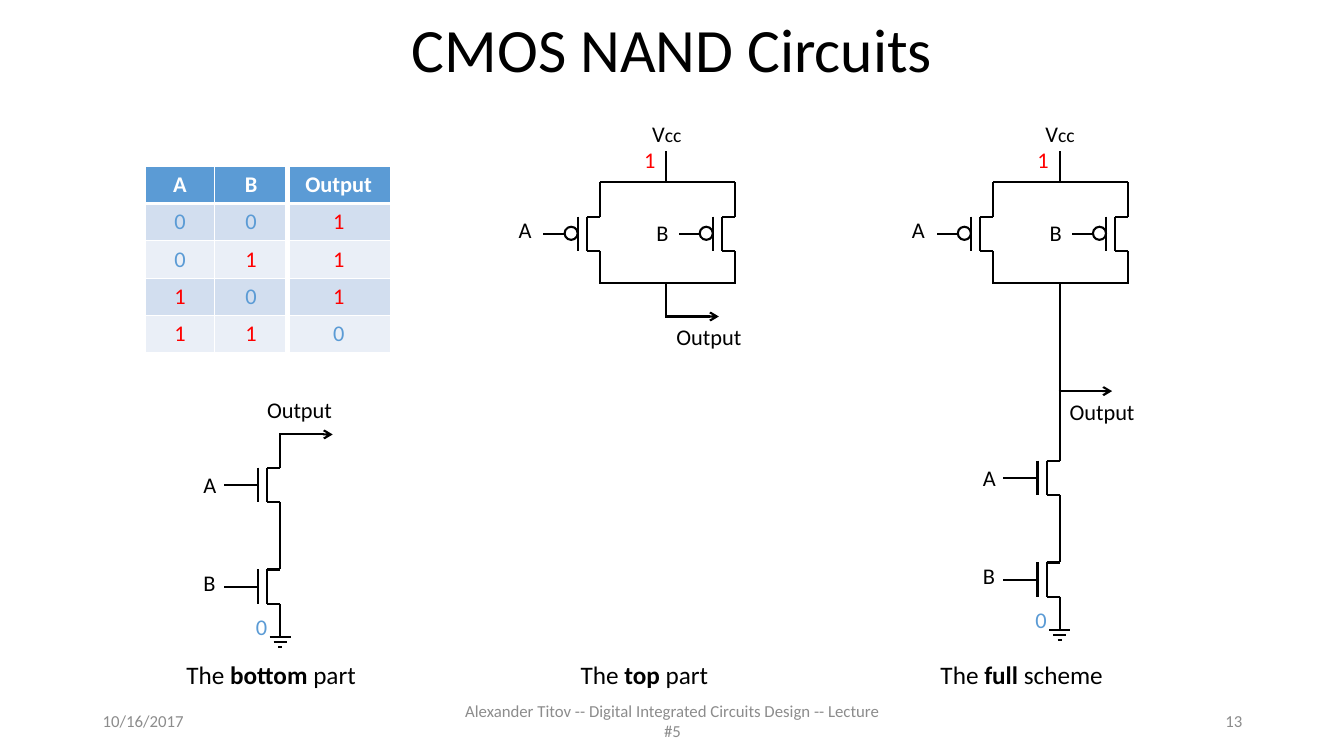
import dataclasses

import lxml.etree
import pptx
import pptx.dml.color
import pptx.enum.shapes
import pptx.enum.text
import pptx.oxml.ns
import pptx.util

Inches = pptx.util.Inches
Pt = pptx.util.Pt
Align = pptx.enum.text.PP_ALIGN
Anchor = pptx.enum.text.MSO_ANCHOR
AutoSize = pptx.enum.text.MSO_AUTO_SIZE
qn = pptx.oxml.ns.qn


@dataclasses.dataclass(frozen=True)
class Theme:
    """Colours, font and sizes of the slide."""
    font: str = "Calibri"
    ink: str = "000000"
    paper: str = "FFFFFF"
    muted: str = "8C8C8C"
    low: str = "5B9BD5"
    high: str = "FF0000"
    header: str = "5B9BD5"
    bands: tuple = ("D2DEEF", "EAEFF7")
    title: int = 44
    caption: int = 18
    label: int = 16
    subscript: int = 14
    footer: int = 12
    wire: float = 1.5


def rgb(value):
    """Return the colour for a hex value."""
    return pptx.dml.color.RGBColor.from_string(value)


def assign(target, values):
    """Set each named attribute on the target."""
    for name, value in values.items():
        setattr(target, name, value)


class CircuitPage:
    """Draws text, tables and circuit parts on one slide."""

    def __init__(self, deck, theme):
        self.theme = theme
        self.page = deck.slides.add_slide(deck.slide_layouts[6])
        self.shapes = self.page.shapes

    def start_group(self):
        """Put the following elements in a new group."""
        self.shapes = self.page.shapes.add_group_shape().shapes

    def end_group(self):
        """Put the following elements directly on the slide."""
        self.shapes = self.page.shapes

    def fill_para(self, para, spans, size, color, align=Align.LEFT):
        """Fill a paragraph with (text, format) spans."""
        para.alignment = align
        for text, changes in spans:
            span = para.add_run()
            span.text = text
            assign(span.font, {"name": self.theme.font, "size": Pt(size), "bold": False, **changes})
            span.font.color.rgb = rgb(color)

    def text(self, left, top, width, height, spans, size, color=None, align=Align.LEFT, **frame):
        """Add a text box and return its paragraph."""
        box = self.shapes.add_textbox(Inches(left), Inches(top), Inches(width), Inches(height))
        assign(box.text_frame, {"word_wrap": True, "vertical_anchor": Anchor.MIDDLE, **frame})
        para = box.text_frame.paragraphs[0]
        self.fill_para(para, spans, size, color or self.theme.ink, align)
        return para

    def label(self, left, top, width, *spans, size=None, color=None, align=Align.LEFT):
        """Add a one-line label that fits its text."""
        size = size or self.theme.label
        height = 0.4 if size == self.theme.caption else 0.37
        self.text(left, top, width, height, spans, size, color, align, word_wrap=False,
                  vertical_anchor=Anchor.TOP, auto_size=AutoSize.SHAPE_TO_FIT_TEXT)

    def wire(self, x1, y1, x2, y2, arrow=False):
        """Add a straight wire."""
        line = self.shapes.add_connector(pptx.enum.shapes.MSO_CONNECTOR.STRAIGHT,
                                         Inches(x1), Inches(y1), Inches(x2), Inches(y2))
        line.line.width = Pt(self.theme.wire)
        line.line.color.rgb = rgb(self.theme.ink)
        properties = line._element.spPr
        if arrow:
            lxml.etree.SubElement(properties.find(qn("a:ln")), qn("a:tailEnd"), type="arrow")
        lxml.etree.SubElement(properties, qn("a:effectLst"))

    def bubble(self, left, top):
        """Add the inverting circle of a gate."""
        circle = self.shapes.add_shape(pptx.enum.shapes.MSO_SHAPE.OVAL, Inches(left), Inches(top),
                                       Inches(0.13), Inches(0.13))
        circle.shadow.inherit = False
        circle.fill.solid()
        circle.fill.fore_color.rgb = rgb(self.theme.paper)
        circle.line.color.rgb = rgb(self.theme.ink)
        circle.line.width = Pt(self.theme.wire)

    def transistor(self, x, top, rise=0.34, inverted=False):
        """Add a transistor whose channel starts at top and whose terminals lie on x."""
        bottom, middle = top + 0.34, top + 0.17
        channel, gate = x - 0.13, x - 0.22
        self.wire(channel, top, channel, bottom)
        for y in (top, bottom):
            self.wire(channel, y, x, y)
        self.wire(x, top - rise, x, top)
        self.wire(x, bottom, x, bottom + 0.33)
        self.wire(gate, top, gate, bottom)
        self.wire(gate, middle, x - 0.56, middle)
        if inverted:
            self.bubble(x - 0.35, top + 0.1)

    def output(self, x, y, label_left, label_top):
        """Add the output arrow and its label."""
        self.wire(x - 0.01, y, x + 0.52, y, arrow=True)
        self.label(label_left, label_top, 0.85, ("Output", {}))

    def pull_up(self, x, output_y):
        """Add the parallel pair between Vcc and the output."""
        left, right = x - 0.66, x + 0.68
        for branch in (left, right):
            self.transistor(branch, 2.15, inverted=True)
        for y in (1.81, 2.81):
            self.wire(left, y, right, y)
        self.wire(x, 1.5, x, 1.81)
        self.wire(x, 2.81, x, output_y)
        self.label(x - 0.24, 1.14, 0.49, ("V", {}), ("cc", {"size": Pt(self.theme.subscript)}))
        self.label(x - 0.32, 1.4, 0.32, ("1", {}), color=self.theme.high)
        self.label(x - 1.57, 2.1, 0.33, ("A", {}), align=Align.RIGHT)
        self.label(x - 0.22, 2.12, 0.34, ("B", {}), align=Align.RIGHT)
        self.output(x, output_y, x, output_y + 0.02)

    def pull_down(self, x, top, rise):
        """Add the series pair between the output and ground."""
        self.transistor(x, top, rise)
        self.transistor(x, top + 1.01)
        for step, half in enumerate((0.105, 0.065, 0.02)):
            y = top + 1.68 + 0.05 * step
            self.wire(x - half, y, x + half, y)
        self.label(x - 0.34, top + 1.39, 0.32, ("0", {}), color=self.theme.low)
        self.label(x - 0.86, top - 0.01, 0.33, ("A", {}))
        self.label(x - 0.86, top + 0.96, 0.34, ("B", {}))

    def truth_table(self, left, top, widths, rows):
        """Add the truth table with the output column set apart."""
        table = self.shapes.add_table(len(rows), len(widths), Inches(left), Inches(top),
                                      Inches(sum(widths)), Inches(0.37 * len(rows))).table
        for column, width in zip(table.columns, widths):
            column.width = Inches(width)
        last = len(widths) - 1
        for r, row in enumerate(rows):
            table.rows[r].height = Inches(0.37)
            for c, value in enumerate(row):
                cell = table.cell(r, c)
                cell.vertical_anchor = Anchor.MIDDLE
                color = {"0": self.theme.low, "1": self.theme.high}.get(value, self.theme.paper)
                self.fill_para(cell.text_frame.paragraphs[0], [(value, {"bold": r == 0})],
                               self.theme.label, color, Align.CENTER)
                self.borders(cell, {"lnL": 4.5 if c == last else 1,
                                    "lnR": 4.5 if c == last - 1 else 1,
                                    "lnT": 3 if r == 1 else 1, "lnB": 3 if r == 0 else 1})
                cell.fill.solid()
                cell.fill.fore_color.rgb = rgb(self.theme.bands[(r - 1) % 2] if r else self.theme.header)

    def borders(self, cell, widths):
        """Give a cell its border lines."""
        properties = cell._tc.get_or_add_tcPr()
        for side, width in widths.items():
            line = lxml.etree.SubElement(properties, qn("a:" + side), w=str(Pt(width)))
            fill = lxml.etree.SubElement(line, qn("a:solidFill"))
            lxml.etree.SubElement(fill, qn("a:srgbClr"), val=self.theme.paper)


def main():
    """Build and save the slide."""
    deck = pptx.Presentation()
    assign(deck, {"slide_width": Inches(13.33), "slide_height": Inches(7.5)})
    theme = Theme()
    page = CircuitPage(deck, theme)

    title = page.text(0.92, 0, 11.5, 1.04, [("CMOS NAND Circuits", {})], theme.title, align=Align.CENTER)
    title.line_spacing = 0.9
    for left, width, words, align in (
            (0.92, 3, "10/16/2017", Align.LEFT),
            (4.42, 4.5, "Alexander Titov -- Digital Integrated Circuits Design -- Lecture #5", Align.CENTER),
            (9.42, 3, "13", Align.RIGHT)):
        page.text(left, 6.95, width, 0.4, [(words, {})], theme.footer, theme.muted, align)

    page.truth_table(1.44, 1.65, (0.69, 0.72, 1.02),
                     (("A", "B", "Output"), "001", "011", "101", "110"))

    page.start_group()
    page.pull_down(2.78, 4.64, 0.33)
    page.output(2.78, 4.31, 2.55, 3.88)
    page.start_group()
    page.pull_up(6.61, 3.14)
    page.start_group()
    page.pull_up(10.51, 3.88)
    page.pull_down(10.51, 4.57, 0.69)
    page.end_group()

    for left, width, part, noun in ((1.75, 1.91, "bottom", "part"), (5.66, 1.48, "top", "part"),
                                    (9.23, 1.83, "full", "scheme")):
        page.label(left, 6.49, width, ("The ", {}), (part + " ", {"bold": True}), (noun, {}),
                   size=theme.caption)
    deck.save("out.pptx")


if __name__ == "__main__":
    main()
